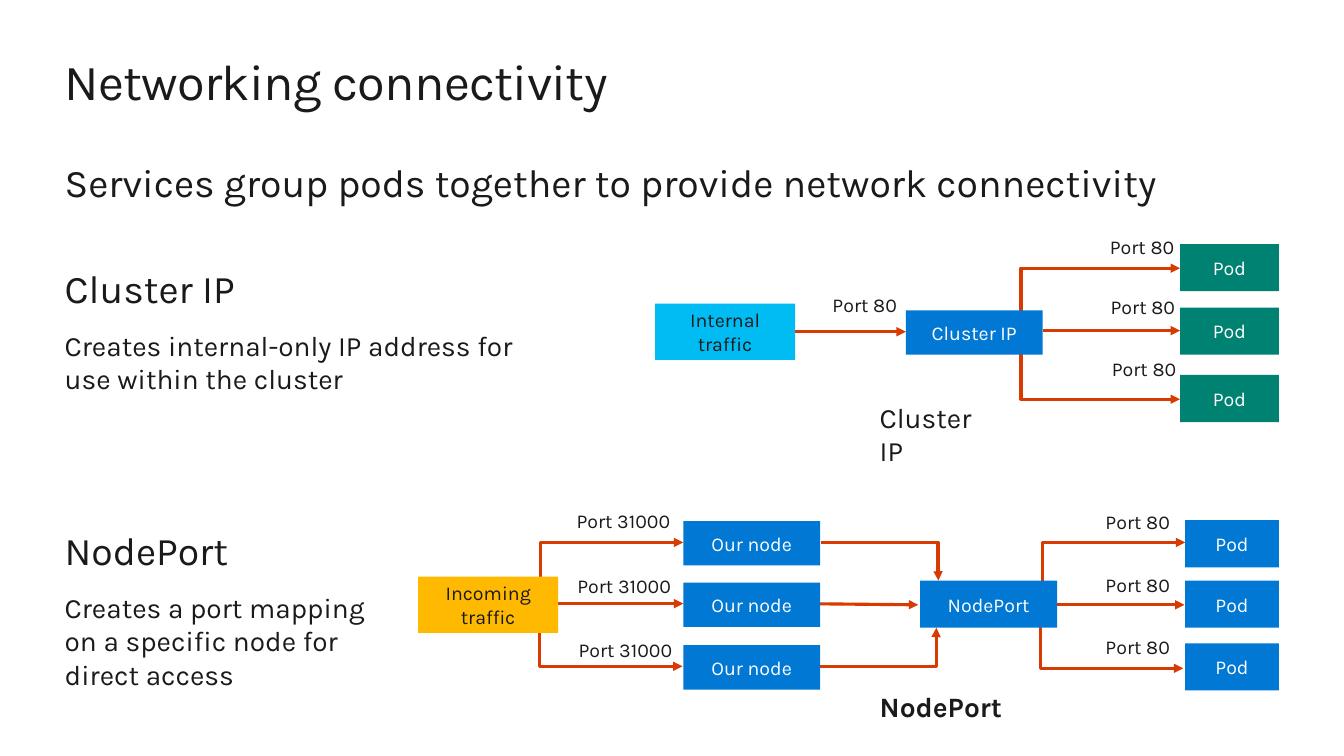
from dataclasses import dataclass

from lxml import etree
from pptx import Presentation
from pptx.dml.color import RGBColor
from pptx.enum.shapes import MSO_CONNECTOR, MSO_SHAPE
from pptx.enum.text import MSO_ANCHOR, MSO_AUTO_SIZE, PP_ALIGN
from pptx.oxml.ns import qn
from pptx.util import Cm, Pt

RECT = MSO_SHAPE.RECTANGLE
LINE, ELBOW = MSO_CONNECTOR.STRAIGHT, MSO_CONNECTOR.ELBOW
TOP, MIDDLE = MSO_ANCHOR.TOP, MSO_ANCHOR.MIDDLE
LEFT, CENTER = PP_ALIGN.LEFT, PP_ALIGN.CENTER
NO_FIT = MSO_AUTO_SIZE.NONE


@dataclass(frozen=True)
class Theme:
    font: str = "Karla"
    ink: str = "1A1A1A"
    white: str = "FFFFFF"
    blue: str = "0078D4"
    cyan: str = "01BCF3"
    green: str = "008272"
    gold: str = "FFB901"
    red: str = "D73B02"
    title: int = 36
    head: int = 28
    body: int = 20
    label: int = 14
    gap: float = 12.2
    line: float = 2.25


THEME = Theme()

TITLE = "Networking connectivity"
LEAD = "Services group pods together to provide network connectivity"
BODIES = [
    ("Cluster IP", "Creates internal-only IP address for use within the cluster", 6.65, 12.04),
    ("NodePort", "Creates a port mapping on a specific node for direct access", 13.26, 7.87),
]
# text, fill, ink, left, tops, width, height
BOXES = [
    (["Internal", "traffic"], THEME.cyan, THEME.ink, 16.51, [7.65], 3.53, 1.42),
    (["Cluster IP"], THEME.blue, THEME.white, 22.83, [7.82], 3.45, 1.12),
    (["Pod"], THEME.green, THEME.white, 29.74, [6.15, 7.75, 9.45], 2.49, 1.19),
    (["Incoming", "traffic"], THEME.gold, THEME.ink, 10.54, [14.53], 3.53, 1.42),
    (["Our node"], THEME.blue, THEME.white, 17.22, [13.13, 14.68, 16.26], 3.45, 1.12),
    (["NodePort"], THEME.blue, THEME.white, 23.19, [14.63], 3.45, 1.19),
    (["Pod"], THEME.blue, THEME.white, 29.87, [13.11, 14.63, 16.21], 2.36, 1.19),
]
PORTS = {
    "Port 80": (1.63, [(20.98, 7.39), (27.97, 5.92), (27.99, 7.44), (28.02, 8.99),
                       (27.86, 12.85), (27.86, 14.43), (27.86, 16.0)]),
    "Port 31000": (2.39, [(14.53, 12.83), (14.55, 14.45), (14.58, 16.08)]),
}
STRAIGHT = [
    (20.04, 8.36, 22.83, 8.36), (26.29, 8.33, 29.74, 8.33),
    (13.77, 15.21, 17.22, 15.21), (20.09, 15.21, 23.14, 15.24),
    (26.39, 15.24, 29.85, 15.24),
]
FAN_OUT = [
    (25.72, 7.87, 29.74, 6.76), (25.72, 8.92, 29.74, 10.06),
    (13.61, 14.71, 17.22, 13.67), (13.59, 15.75, 17.2, 16.79),
    (26.26, 14.71, 29.87, 13.67), (26.21, 15.8, 29.82, 16.84),
]
FAN_IN = [(20.68, 13.67, 23.65, 14.63), (20.62, 16.79, 23.6, 15.82)]
ROUTES = [(LINE, STRAIGHT, None), (ELBOW, FAN_OUT, 300), (ELBOW, FAN_IN, 99700)]


def write(shape, lines, sizes, ink=THEME.ink, align=LEFT, anchor=TOP,
          pad=(0, 0), wrap=True, bold=False, gap=0, track=None):
    frame = shape.text_frame
    frame.auto_size, frame.word_wrap = NO_FIT, wrap
    frame.vertical_anchor = anchor
    frame.margin_left = frame.margin_right = Cm(pad[0])
    frame.margin_top = frame.margin_bottom = Cm(pad[1])
    for i, text in enumerate(lines):
        para = frame.add_paragraph() if i else frame.paragraphs[0]
        para.alignment, para.line_spacing = align, 1.0
        para.space_before = Pt(gap)
        props = para._p.get_or_add_pPr()
        props.set("marL", "0")
        props.set("indent", "0")
        etree.SubElement(props, qn("a:buNone"))
        run = para.add_run()
        run.text = text
        font = run.font
        font.name, font.bold = THEME.font, bold
        font.size = Pt(sizes[min(i, len(sizes) - 1)])
        font.color.rgb = RGBColor.from_string(ink)
        if track is not None:
            run._r.get_or_add_rPr().set("spc", str(track))


def place(shape, *area):
    shape.left, shape.top, shape.width, shape.height = map(Cm, area)


def label(slide, text, *area, size=THEME.label, **style):
    write(slide.shapes.add_textbox(*map(Cm, area)), [text], [size], **style)


def arrow(slide, kind, ends, bend):
    link = slide.shapes.add_connector(kind, *map(Cm, ends))
    link.line.color.rgb = RGBColor.from_string(THEME.red)
    link.line.width = Pt(THEME.line)
    props = link.element.spPr
    etree.SubElement(props.find(qn("a:ln")), qn("a:tailEnd"), type="triangle")
    etree.SubElement(props, qn("a:effectLst"))
    if bend is not None:
        guides = props.find(qn("a:prstGeom")).find(qn("a:avLst"))
        etree.SubElement(guides, qn("a:gd"), name="adj1", fmla=f"val {bend}")


def box(slide, lines, fill, ink, *area):
    shape = slide.shapes.add_shape(RECT, *map(Cm, area))
    shape.shadow.inherit = False
    shape.fill.solid()
    shape.fill.fore_color.rgb = RGBColor.from_string(fill)
    shape.line.fill.background()
    write(shape, lines, [THEME.label], ink=ink, align=CENTER, anchor=MIDDLE, pad=(0.51, 0.41))


def main():
    """Build the networking connectivity slide."""
    deck = Presentation()
    deck.slide_width, deck.slide_height = Cm(33.87), Cm(19.05)
    slide = deck.slides.add_slide(deck.slide_layouts[3])
    title, *bodies = slide.placeholders
    place(title, 1.63, 1.27, 30.6, 1.55)
    write(title, [TITLE], [THEME.title], track=-50)
    for body, (head, text, top, width) in zip(bodies, BODIES):
        place(body, 1.63, top, width, 4.19)
        write(body, [head, text], [THEME.head, THEME.body], gap=THEME.gap)
    label(slide, LEAD, 1.63, 3.99, 30.6, 1.19, size=THEME.head, gap=THEME.gap)

    for kind, links, bend in ROUTES:
        for ends in links:
            arrow(slide, kind, ends, bend)
    for lines, fill, ink, left, tops, width, height in BOXES:
        for top in tops:
            box(slide, lines, fill, ink, left, top, width, height)
    for text, (width, spots) in PORTS.items():
        for left, top in spots:
            label(slide, text, left, top, width, 0.61, wrap=False)
    label(slide, "Cluster IP", 22.17, 10.08, 2.9, 1.72, size=THEME.body)
    label(slide, "NodePort", 22.17, 17.37, 3.15, 0.86, size=THEME.body, wrap=False, bold=True)
    deck.save("out.pptx")


if __name__ == "__main__":
    main()
